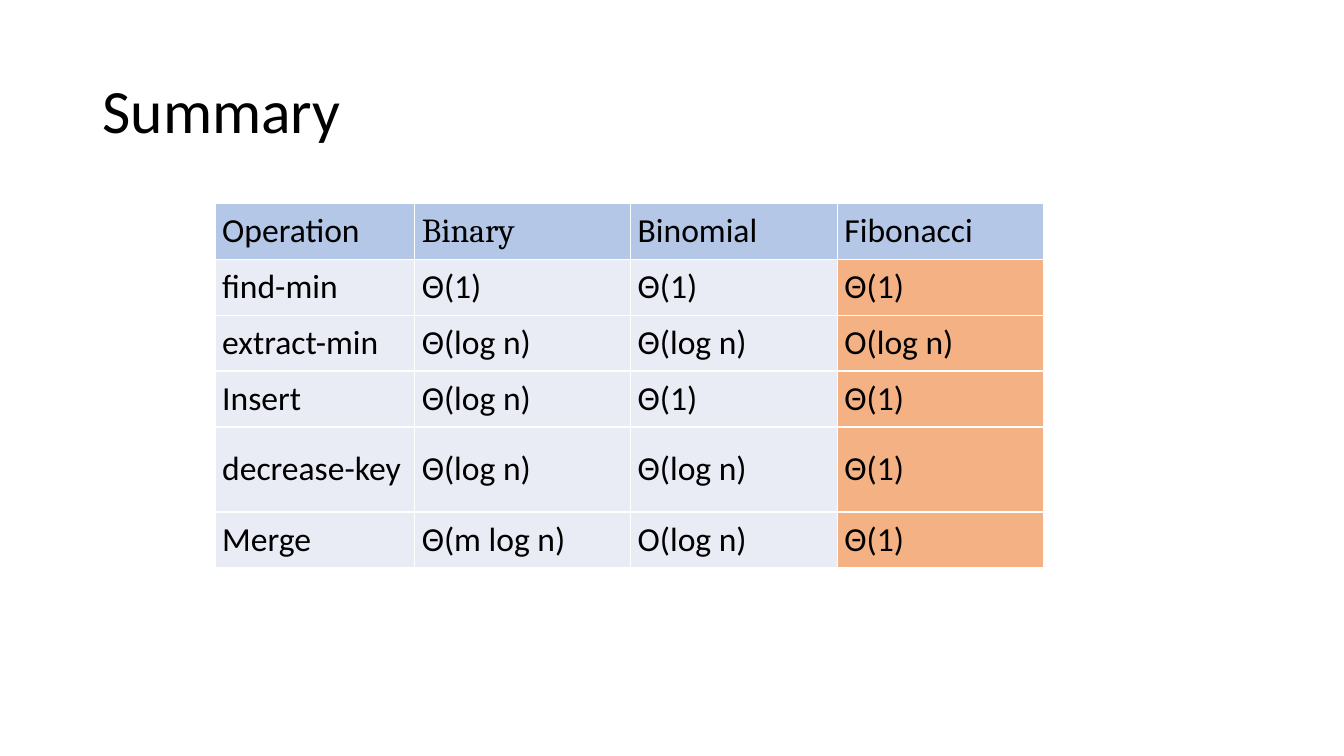
from dataclasses import dataclass

from lxml.etree import SubElement
from pptx import Presentation
from pptx.dml.color import RGBColor
from pptx.enum.text import MSO_ANCHOR as Anchor, PP_ALIGN as Align
from pptx.oxml.ns import qn
from pptx.util import Cm, Pt


@dataclass(frozen=True)
class Theme:
    font: str = "Calibri"
    accent_font: str = "Cambria"
    title_size: int = 44
    table_size: int = 24
    text: str = "000000"
    border: str = "FFFFFF"
    header: str = "B4C7E7"
    body: str = "E9EBF5"
    highlight: str = "F4B183"


THEME = Theme()

HEAP_COSTS = [
    ["Operation", "Binary", "Binomial", "Fibonacci"],
    ["find-min", "Θ(1)", "Θ(1)", "Θ(1)"],
    ["extract-min", "Θ(log n)", "Θ(log n)", "O(log n)"],
    ["Insert", "Θ(log n)", "Θ(1)", "Θ(1)"],
    ["decrease-key", "Θ(log n)", "Θ(log n)", "Θ(1)"],
    ["Merge", "Θ(m log n)", "O(log n)", "Θ(1)"],
]
COLUMN_WIDTHS = [5.03, 5.44, 5.21, 5.21]
ROW_HEIGHT = 1.41
TALL_ROW_HEIGHT = 2.14


def add_run(paragraph, text, size, font=THEME.font):
    paragraph.alignment = Align.LEFT
    run = paragraph.add_run()
    run.text = text
    run.font.name = font
    run.font.size = Pt(size)
    run.font.bold = False
    run.font.color.rgb = RGBColor.from_string(THEME.text)


def set_title(slide, text):
    title = slide.shapes.title
    title.left, title.top = Cm(2.33), Cm(1.01)
    title.width, title.height = Cm(29.21), Cm(3.68)
    frame = title.text_frame
    frame.word_wrap = True
    frame.vertical_anchor = Anchor.MIDDLE
    paragraph = frame.paragraphs[0]
    paragraph.line_spacing = 0.9
    add_run(paragraph, text, THEME.title_size)


def add_borders(cell):
    properties = cell._tc.get_or_add_tcPr()
    for side in ("lnL", "lnR", "lnT", "lnB"):
        line = SubElement(properties, qn(f"a:{side}"), w=str(Pt(1)))
        fill = SubElement(line, qn("a:solidFill"))
        SubElement(fill, qn("a:srgbClr"), val=THEME.border)


def format_cell(cell, text, color, font):
    add_borders(cell)
    cell.fill.solid()
    cell.fill.fore_color.rgb = RGBColor.from_string(color)
    cell.vertical_anchor = Anchor.MIDDLE
    cell.margin_left = cell.margin_right = Cm(0.18)
    cell.margin_top = cell.margin_bottom = Cm(0)
    add_run(cell.text_frame.paragraphs[0], text, THEME.table_size, font)


def cell_color(row, column):
    if row == 0:
        return THEME.header
    return THEME.highlight if HEAP_COSTS[0][column] == "Fibonacci" else THEME.body


def add_cost_table(slide):
    heights = [TALL_ROW_HEIGHT if row[0] == "decrease-key" else ROW_HEIGHT
               for row in HEAP_COSTS]
    table = slide.shapes.add_table(
        len(HEAP_COSTS), len(COLUMN_WIDTHS), Cm(5.42), Cm(5.12),
        Cm(sum(COLUMN_WIDTHS)), Cm(sum(heights))).table
    for column, width in zip(table.columns, COLUMN_WIDTHS):
        column.width = Cm(width)
    for row, height in zip(table.rows, heights):
        row.height = Cm(height)
    for r, values in enumerate(HEAP_COSTS):
        for c, text in enumerate(values):
            font = THEME.accent_font if text == "Binary" else THEME.font
            format_cell(table.cell(r, c), text, cell_color(r, c), font)


def main():
    # Slide with a title only
    presentation = Presentation()
    presentation.slide_width, presentation.slide_height = Cm(33.87), Cm(19.05)
    slide = presentation.slides.add_slide(presentation.slide_layouts[5])

    # Content
    set_title(slide, "Summary")
    add_cost_table(slide)

    presentation.save("out.pptx")


if __name__ == "__main__":
    main()
